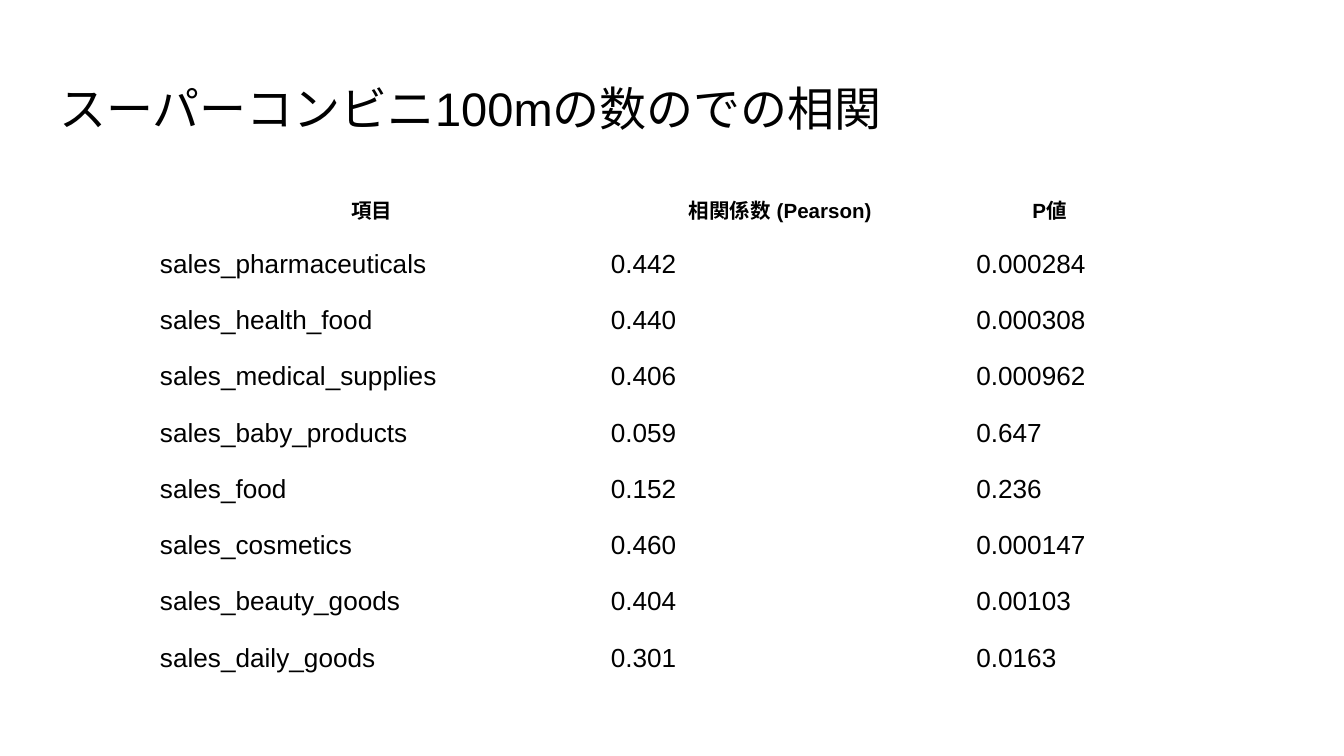
from dataclasses import dataclass
from typing import NamedTuple, Optional

from lxml.etree import SubElement
from pptx import Presentation
from pptx.dml.color import RGBColor
from pptx.enum.text import MSO_ANCHOR, MSO_AUTO_SIZE, PP_ALIGN
from pptx.oxml.ns import qn
from pptx.util import Emu, Pt

EMU_PER_PX = 4572


@dataclass(frozen=True)
class Theme:
    font: str = "Arial"
    ink: RGBColor = RGBColor(0, 0, 0)
    title_size: float = 25.2
    header_size: float = 11
    body_size: float = 14


class Correlation(NamedTuple):
    item: str
    coefficient: str
    p_value: str


class TextStyle(NamedTuple):
    size: float
    bold: bool = False
    align: PP_ALIGN = PP_ALIGN.LEFT
    line_spacing: Optional[float] = None
    space_before: float = 0


THEME = Theme()
TITLE_STYLE = TextStyle(THEME.title_size, line_spacing=1.0)
HEADER_STYLE = TextStyle(THEME.header_size, True, PP_ALIGN.CENTER, 1.15, 3.5)
BODY_STYLE = TextStyle(THEME.body_size)

INSET = 20
ROW_HEIGHT = 54
COLUMN_WIDTHS = (671, 544, 258)
HEADER = Correlation("項目", "相関係数 (Pearson)", "P値")
CORRELATIONS = (
    Correlation("sales_pharmaceuticals", "0.442", "0.000284"),
    Correlation("sales_health_food", "0.440", "0.000308"),
    Correlation("sales_medical_supplies", "0.406", "0.000962"),
    Correlation("sales_baby_products", "0.059", "0.647"),
    Correlation("sales_food", "0.152", "0.236"),
    Correlation("sales_cosmetics", "0.460", "0.000147"),
    Correlation("sales_beauty_goods", "0.404", "0.00103"),
    Correlation("sales_daily_goods", "0.301", "0.0163"),
)


def px(length: int) -> Emu:
    return Emu(length * EMU_PER_PX)


def set_insets(holder) -> None:
    holder.margin_left = holder.margin_right = px(INSET)
    holder.margin_top = holder.margin_bottom = px(INSET)
    holder.vertical_anchor = MSO_ANCHOR.TOP


def write_text(frame, text: str, style: TextStyle) -> None:
    para = frame.paragraphs[0]
    para.alignment = style.align
    para.line_spacing = style.line_spacing
    para.space_before = Pt(style.space_before)
    span = para.add_run()
    span.text = text
    span.font.size = Pt(style.size)
    span.font.bold = style.bold
    span.font.color.rgb = THEME.ink
    span.font.name = THEME.font
    east_asian = SubElement(span.font._element, qn("a:ea"))
    east_asian.set("typeface", THEME.font)


def draw_title(page, text: str) -> None:
    box = page.shapes.title
    box.left, box.top, box.width, box.height = map(px, (68, 98, 1864, 126))
    frame = box.text_frame
    frame.auto_size = MSO_AUTO_SIZE.NONE
    frame.word_wrap = True
    set_insets(frame)
    write_text(frame, text, TITLE_STYLE)


def draw_table(page, records: tuple[Correlation, ...]) -> None:
    rows = (HEADER, *records)
    table = page.shapes.add_table(
        len(rows), len(COLUMN_WIDTHS), px(218), px(272),
        px(sum(COLUMN_WIDTHS)), px(ROW_HEIGHT * len(rows)),
    ).table
    table.first_row = table.horz_banding = False
    for column, width in zip(table.columns, COLUMN_WIDTHS):
        column.width = px(width)
    for row, record in zip(table.rows, rows):
        row.height = px(ROW_HEIGHT)
        style = HEADER_STYLE if record is HEADER else BODY_STYLE
        for cell, text in zip(row.cells, record):
            cell.fill.background()
            set_insets(cell)
            write_text(cell.text_frame, text, style)


def main() -> None:
    deck = Presentation()
    deck.slide_width, deck.slide_height = px(2000), px(1125)
    page = deck.slides.add_slide(deck.slide_layouts.get_by_name("Title Only"))
    draw_title(page, "スーパーコンビニ100mの数のでの相関")
    draw_table(page, CORRELATIONS)
    deck.save("out.pptx")


if __name__ == "__main__":
    main()
